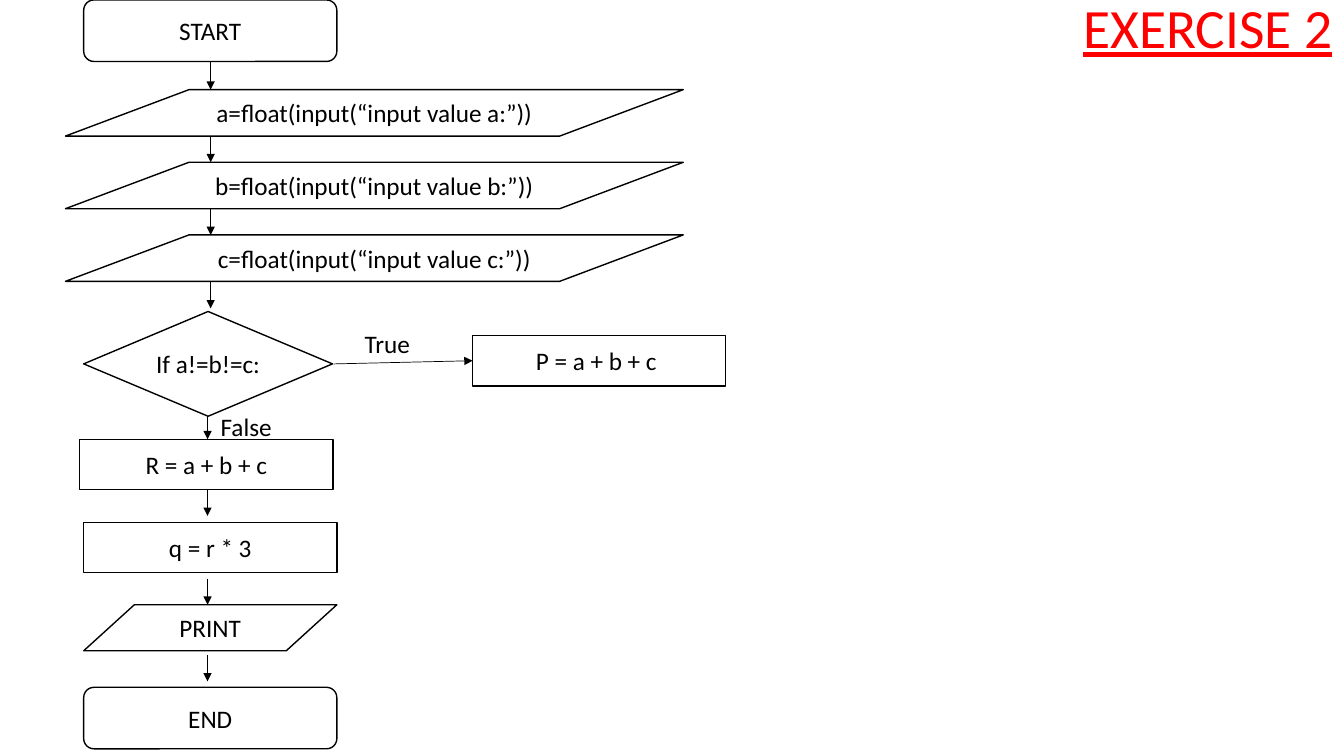
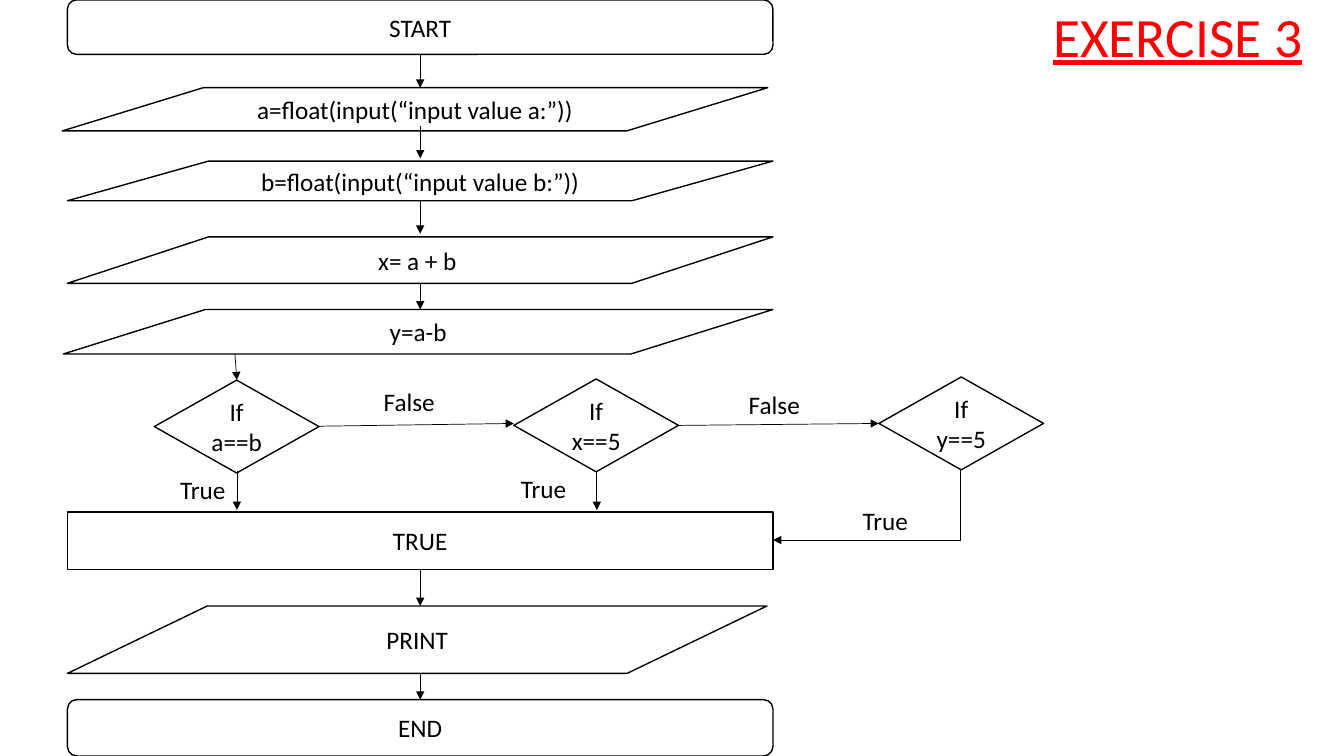
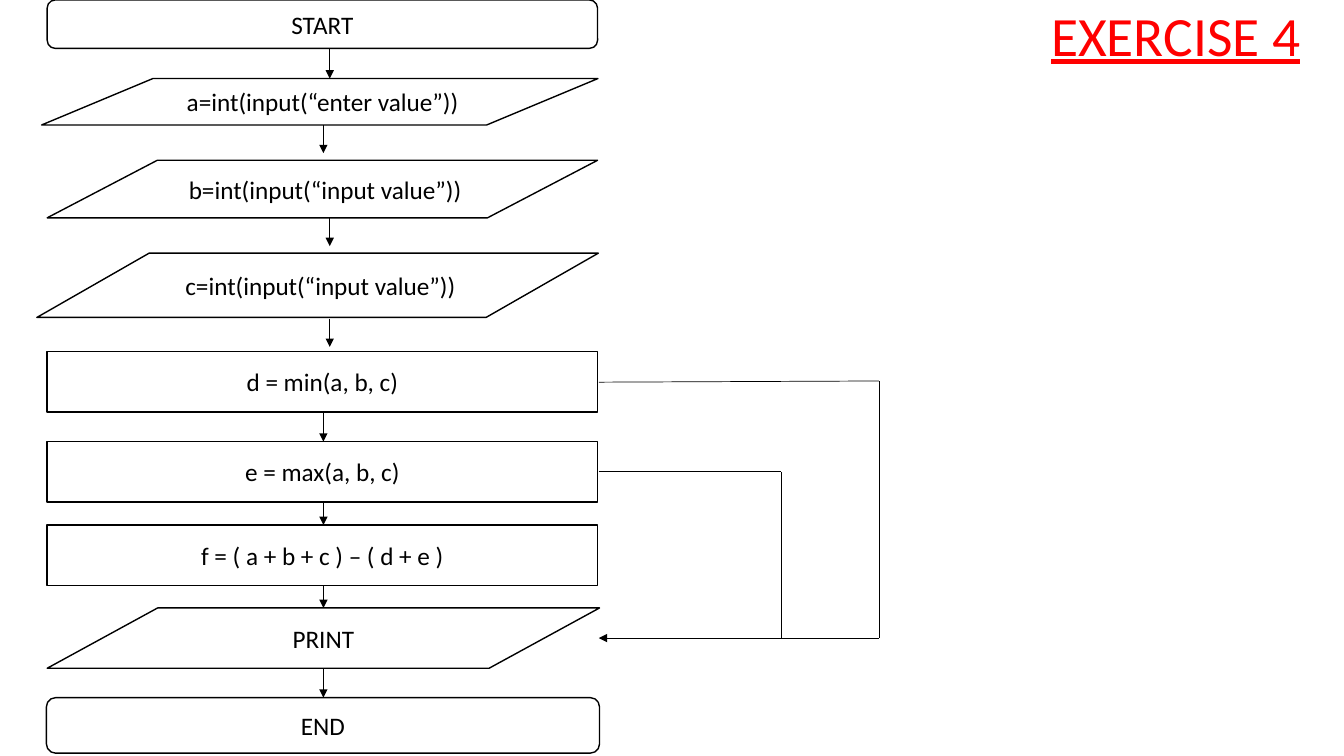
from dataclasses import dataclass
from itertools import pairwise

from lxml import etree
from pptx import Presentation
from pptx.dml.color import RGBColor
from pptx.enum.shapes import MSO_CONNECTOR, MSO_SHAPE
from pptx.enum.text import MSO_ANCHOR, PP_ALIGN
from pptx.oxml.ns import qn
from pptx.util import Cm, Pt

TERMINAL = MSO_SHAPE.FLOWCHART_ALTERNATE_PROCESS
INPUT = MSO_SHAPE.FLOWCHART_DATA
DECISION = MSO_SHAPE.FLOWCHART_DECISION
PROCESS = MSO_SHAPE.FLOWCHART_PROCESS
STRAIGHT = MSO_CONNECTOR.STRAIGHT
LEFT, CENTER = PP_ALIGN.LEFT, PP_ALIGN.CENTER
TOP, MIDDLE = MSO_ANCHOR.TOP, MSO_ANCHOR.MIDDLE


@dataclass(frozen=True)
class Theme:
    """Hold the colours, type sizes and line widths of the deck."""
    font: str = "Calibri"
    ink: RGBColor = RGBColor(0, 0, 0)
    paper: RGBColor = RGBColor(255, 255, 255)
    accent: RGBColor = RGBColor(255, 0, 0)
    title_size: float = 39.6
    body_size: float = 18
    outline: float = 1
    arrow: float = 0.5
    page_width: float = 33.87
    page_height: float = 19.05


def write(frame, text, *, font, size, color, align=LEFT, anchor=TOP,
          underline=False, spacing=1.0):
    """Put one formatted paragraph into a text frame."""
    frame.word_wrap = True
    frame.vertical_anchor = anchor
    para = frame.paragraphs[0]
    para.alignment = align
    para.line_spacing = spacing
    span = para.add_run()
    span.text = text
    span.font.name = font
    span.font.size = Pt(size)
    span.font.color.rgb = color
    span.font.underline = underline


class Flowchart:
    """Draw flowchart elements on the current slide in one style."""

    def __init__(self, theme):
        """Start an empty deck."""
        self.theme = theme
        self.deck = Presentation()
        self.deck.slide_width = Cm(theme.page_width)
        self.deck.slide_height = Cm(theme.page_height)
        self.page = None

    def start_page(self, title, left, height):
        """Add a slide with its title in the top right corner."""
        self.page = self.deck.slides.add_slide(self.deck.slide_layouts[6])
        self.text_box(title, left, 0, self.theme.page_width - left, height,
                      size=self.theme.title_size, color=self.theme.accent,
                      anchor=MIDDLE, underline=True, spacing=0.9)

    def text_box(self, text, left, top, width, height, **style):
        """Add a text box that uses its full width to the right."""
        box = self.page.shapes.add_textbox(
            Cm(left), Cm(top), Cm(width), Cm(height))
        box.text_frame.margin_right = 0
        write(box.text_frame, text, font=self.theme.font, **style)

    def label(self, text, left, top):
        """Name a branch beside its arrow."""
        self.text_box(text, left, top, 2.03, 1.02,
                      size=self.theme.body_size, color=self.theme.ink)

    def step(self, kind, text, left, top, width, height):
        """Add one outlined flowchart symbol."""
        box = self.page.shapes.add_shape(
            kind, Cm(left), Cm(top), Cm(width), Cm(height))
        box.shadow.inherit = False
        box.fill.solid()
        box.fill.fore_color.rgb = self.theme.paper
        box.line.color.rgb = self.theme.ink
        box.line.width = Pt(self.theme.outline)
        write(box.text_frame, text, font=self.theme.font,
              size=self.theme.body_size, color=self.theme.ink,
              align=CENTER, anchor=MIDDLE)

    def route(self, *points, arrow=True):
        """Join points by straight lines, with an arrowhead at the end."""
        for start, end in pairwise(points):
            line = self.page.shapes.add_connector(
                STRAIGHT, *map(Cm, start), *map(Cm, end))
            line.line.color.rgb = self.theme.ink
            line.line.width = Pt(self.theme.arrow)
            properties = line._element.spPr
            etree.SubElement(properties, qn("a:effectLst"))
        if arrow:
            outline = properties.find(qn("a:ln"))
            etree.SubElement(outline, qn("a:tailEnd"), type="triangle")

    def down(self, x, *spans):
        """Add downward arrows on one vertical axis."""
        for top, bottom in spans:
            self.route((x, top), (x, bottom))


def exercise_2(chart):
    """Draw the flowchart with one decision."""
    chart.start_page("EXERCISE 2", 27.05, 1.55)
    left, width, box_height = 2.11, 6.38, 1.27
    chart.step(TERMINAL, "START", left, 0, width, 1.55)
    first, pitch, height = 2.26, 1.83, 1.17
    for index, name in enumerate("abc"):
        top = first + index * pitch
        chart.step(INPUT, f"{name}=float(input(“input value {name}:”))",
                   1.65, top, 15.57, height)
    chart.step(DECISION, "If a!=b!=c: ", left, 7.85, 6.27, 2.64)
    chart.step(PROCESS, "R = a + b + c", 2.01, 11.07, width, box_height)
    chart.step(PROCESS, "q = r * 3", left, 13.16, width, box_height)
    chart.step(PROCESS, "P = a + b + c ", 11.91, 8.46, width, box_height)
    chart.step(INPUT, "PRINT", left, 15.24, width, 1.16)
    chart.step(TERMINAL, "END", left, 17.32, width, 1.55)
    chart.down(5.31, (1.55, 2.26), (3.43, 4.09), (5.26, 5.92), (7.09, 7.77))
    chart.down(5.23, (10.49, 11.07), (12.34, 13), (14.58, 15.24),
               (16.51, 17.17))
    chart.route((8.41, 9.17), (11.91, 9.09))
    chart.label("False", 5.31, 10.24)
    chart.label("True", 8.94, 8.15)


def exercise_3(chart):
    """Draw the flowchart with three decisions."""
    chart.start_page("EXERCISE 3", 26.29, 1.98)
    left, width = 1.7, 17.78
    for kind, text, top, height in (
            (TERMINAL, "START", 0, 1.37),
            (INPUT, "b=float(input(“input value b:”))", 4.06, 1),
            (INPUT, "x= a + b ", 5.97, 1.17),
            (PROCESS, "TRUE", 12.9, 1.45),
            (TERMINAL, "END", 17.63, 1.42)):
        chart.step(kind, text, left, top, width, height)
    chart.step(INPUT, "a=float(input(“input value a:”))",
               1.57, 2.21, width, 1.09)
    chart.step(INPUT, "y=a-b", 1.6, 7.8, 17.88, 1.12)
    chart.step(INPUT, "PRINT", left, 15.27, 17.63, 1.7)
    for text, x, top in (("If a==b", 3.89, 9.58), ("If x==5", 12.95, 9.55),
                         ("If y==5", 22.15, 9.5)):
        chart.step(DECISION, text, x, top, 4.15, 2.34)
    chart.down(10.59, (1.37, 2.21), (3.18, 3.99), (5.05, 5.89), (7.14, 7.8),
               (14.35, 15.27), (16.97, 17.63))
    chart.down(5.97, (11.88, 12.85))
    chart.down(15.04, (11.88, 12.85))
    chart.route((5.92, 8.92), (5.97, 9.58))
    chart.route((8.03, 10.74), (12.95, 10.67))
    chart.route((17.09, 10.72), (22.15, 10.67))
    chart.route((24.21, 11.84), (24.21, 13.61), (19.48, 13.61))
    for text, x, top in (("False", 9.42, 9.6), ("False", 18.62, 9.68),
                         ("True", 4.29, 11.84), ("True", 12.88, 11.81),
                         ("True", 21.49, 12.6)):
        chart.label(text, x, top)


def exercise_4(chart):
    """Draw the flowchart with two side routes to the output."""
    chart.start_page("EXERCISE 4", 26.24, 1.93)
    left, width, box_height = 1.19, 13.87, 1.52
    chart.step(TERMINAL, "START", left, 0, width, 1.22)
    chart.step(INPUT, " a=int(input(“enter value”))", 1.05, 1.98, 14.02, 1.17)
    chart.step(INPUT, " b=int(input(“input value”))", left, 4.04, width, 1.45)
    chart.step(INPUT, " c=int(input(“input value”))", 0.93, 6.38, 14.15, 1.62)
    for text, top in (("d = min(a, b, c)", 8.86), ("e = max(a, b, c)", 11.13),
                      ("f = ( a + b + c ) – ( d + e )", 13.23)):
        chart.step(PROCESS, text, left, top, width, box_height)
    chart.step(INPUT, "PRINT", left, 15.32, 13.92, box_height)
    chart.step(TERMINAL, "END", 1.17, 17.58, 13.94, 1.4)
    chart.down(8.31, (1.24, 1.98), (5.49, 6.2), (8.03, 8.74))
    chart.down(8.15, (3.15, 3.86), (10.41, 11.13), (12.65, 13.23),
               (14.76, 15.32), (16.84, 17.58))
    edge, output = 15.09, 16.08
    chart.route((edge, 9.63), (22.15, 9.6), (22.15, output), (edge, output))
    chart.route((edge, 11.89), (19.69, 11.89), (19.69, output), arrow=False)


def main():
    """Build the three slides and save the deck."""
    chart = Flowchart(Theme())
    for draw in (exercise_2, exercise_3, exercise_4):
        draw(chart)
    chart.deck.save("out.pptx")


if __name__ == "__main__":
    main()
